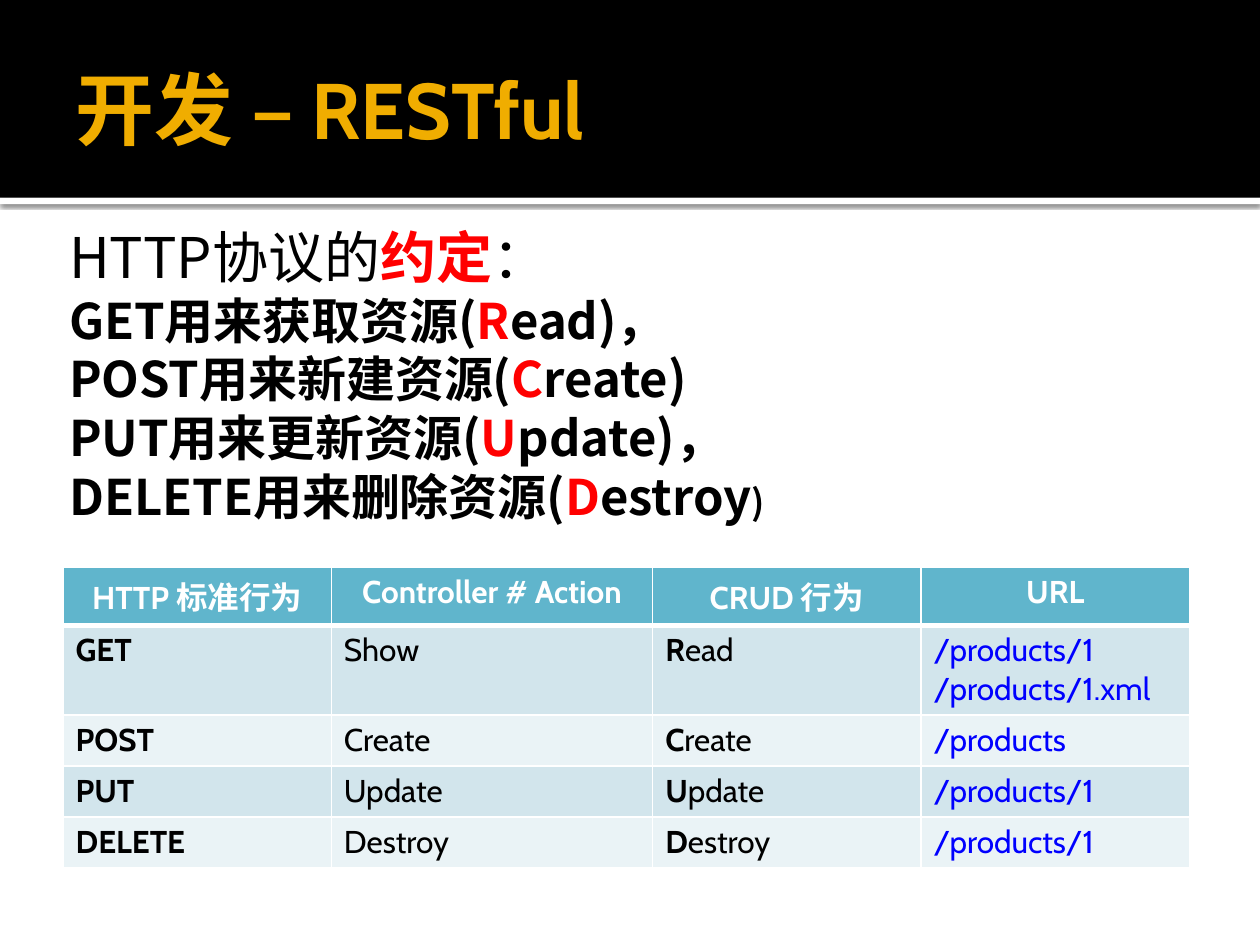
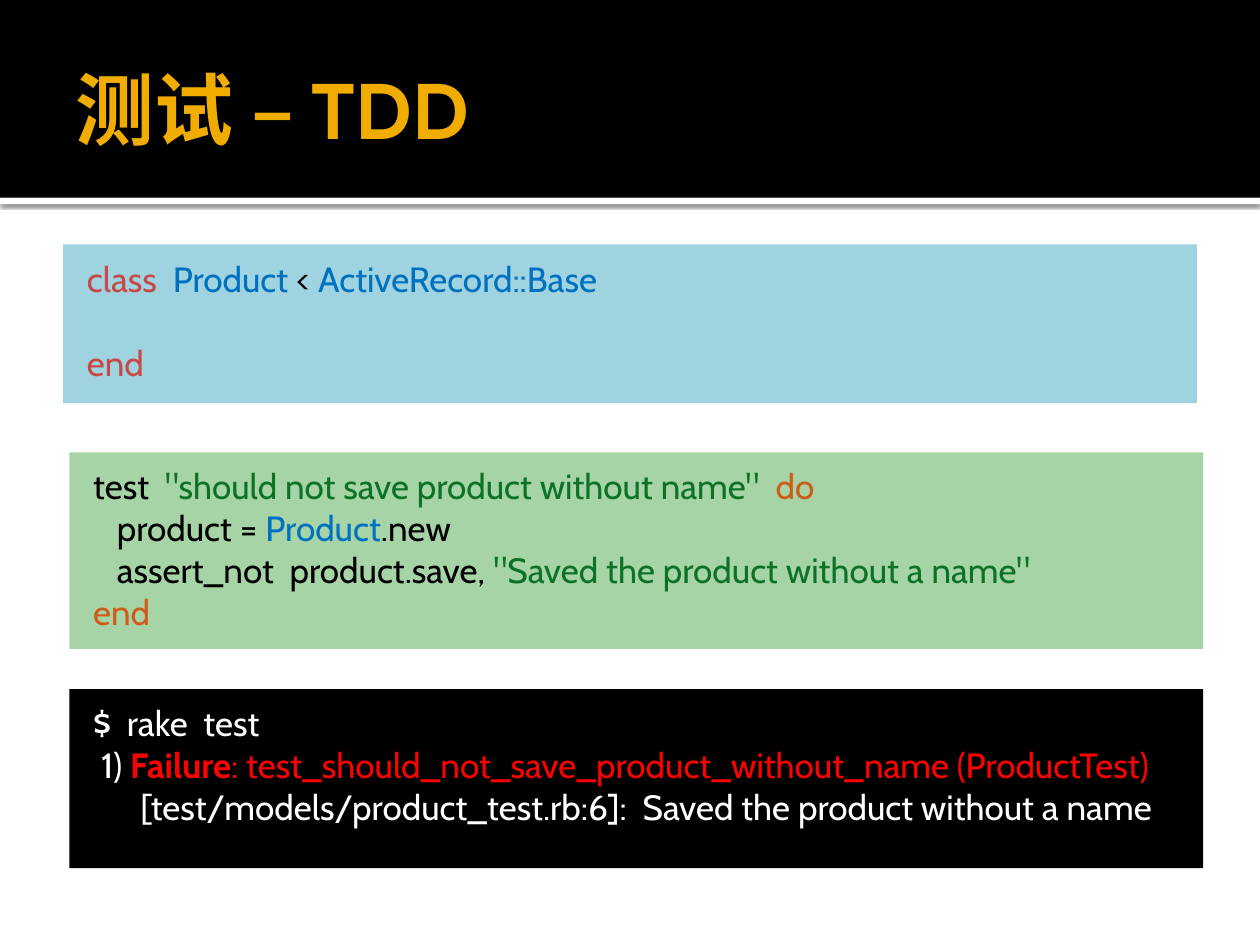
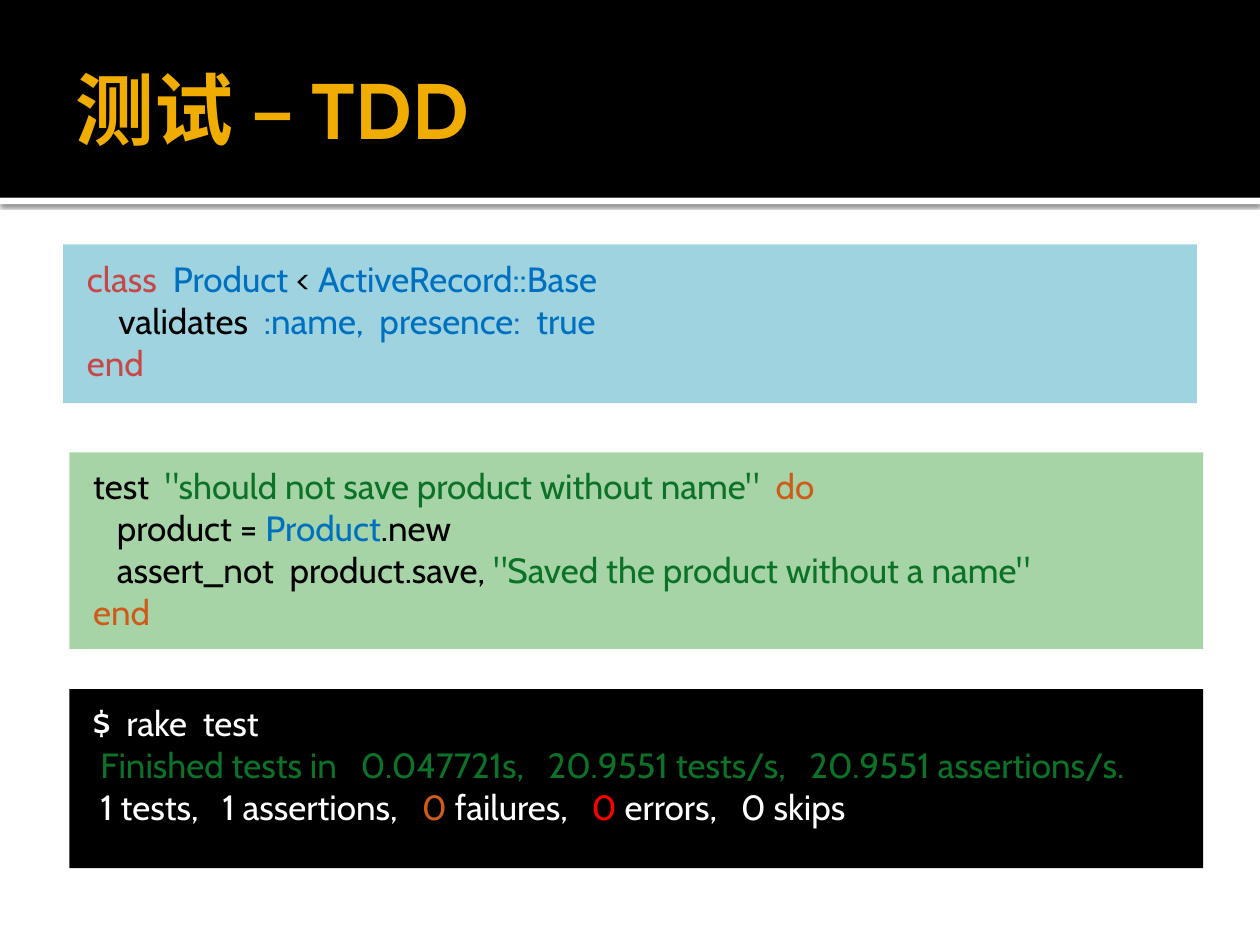
from lxml import etree
from pptx import Presentation
from pptx.dml.color import RGBColor
from pptx.enum.shapes import MSO_SHAPE
from pptx.enum.text import MSO_ANCHOR, MSO_AUTO_SIZE, PP_ALIGN
from pptx.oxml.ns import qn
from pptx.util import Inches, Pt

RECTANGLE = MSO_SHAPE.RECTANGLE
TOP, MIDDLE = MSO_ANCHOR.TOP, MSO_ANCHOR.MIDDLE
NO_FIT = MSO_AUTO_SIZE.NONE
LEFT, CENTER = PP_ALIGN.LEFT, PP_ALIGN.CENTER

LATIN_FONT, CHINESE_FONT = "Cabin", "Noto Sans CJK SC"
TITLE_AND_CONTENT, TITLE_ONLY = 1, 5

BLACK, WHITE, GOLD, RED = "000000", "FFFFFF", "F0AD00", "FF0000"
TEAL, ROW_DARK, ROW_LIGHT, LINK_BLUE = "60B5CC", "D2E5EC", "EAF3F6", "0000FF"
MODEL_FILL, TEST_FILL = "A0D3E0", "A6D4A7"
KEYWORD, CONSTANT, STRING, BLOCK = "C64847", "0070C0", "0C7227", "CF5B1B"


def rgb(value):
    return RGBColor.from_string(value)


def add_xml(parent, tag, **attributes):
    return etree.SubElement(parent, qn(tag), {key: str(value) for key, value in attributes.items()})


class Deck:
    def __init__(self):
        self.presentation = Presentation()
        self.presentation.slide_width = Inches(10)
        self.presentation.slide_height = Inches(7.5)
        self.slide = None

    def start_slide(self, title, layout):
        first = self.slide is None
        self.slide = self.presentation.slides.add_slide(self.presentation.slide_layouts[layout])
        if first:
            self.add_master_bands()
        self.add_title(title)

    def add_master_bands(self):
        """Draw the header bands and hand them to the slide master."""
        header = self.add_rectangle((0, 0, 10, 1.57), BLACK)
        rule = self.add_rectangle((0, 1.57, 10, 0.05), WHITE)
        effects = rule._element.spPr.find(qn("a:effectLst"))
        shadow = add_xml(effects, "a:outerShdw", blurRad=Pt(2.5), dist=Pt(0.8),
                         dir=5400000, algn="t", rotWithShape=0)
        add_xml(add_xml(shadow, "a:srgbClr", val=BLACK), "a:alpha", val=60000)
        master_tree = self.presentation.slide_master.shapes.element
        for band in (header, rule):
            master_tree.insert(2, band._element)

    def place(self, shape, box):
        shape.left, shape.top, shape.width, shape.height = map(Inches, box)

    def add_rectangle(self, box, fill):
        shape = self.slide.shapes.add_shape(RECTANGLE, *map(Inches, box))
        shape.shadow.inherit = False
        shape.fill.solid()
        shape.fill.fore_color.rgb = rgb(fill)
        shape.line.fill.background()
        return shape

    def set_frame(self, frame, margins, anchor=TOP):
        frame.word_wrap = True
        frame.auto_size = NO_FIT
        frame.vertical_anchor = anchor
        (frame.margin_left, frame.margin_top,
         frame.margin_right, frame.margin_bottom) = map(Inches, margins)

    def set_runs(self, paragraph, runs, size, color=BLACK, bold=False,
                 font=LATIN_FONT, align=LEFT):
        """Each run is a string, or (text, changes to the paragraph's style)."""
        paragraph.alignment = align
        paragraph.space_before = Pt(0)
        base = paragraph.font
        base.name, base.size, base.bold = font, Pt(size), bold
        base.color.rgb = rgb(color)
        add_xml(base._rPr, "a:ea", typeface=CHINESE_FONT)
        for item in [runs] if isinstance(runs, str) else runs:
            text, changes = (item, {}) if isinstance(item, str) else item
            run = paragraph.add_run()
            run.text = text
            if "color" in changes:
                run.font.color.rgb = rgb(changes["color"])
            if "bold" in changes:
                run.font.bold = changes["bold"]
            if "size" in changes:
                run.font.size = Pt(changes["size"])

    def paragraphs(self, frame, count):
        for _ in range(count - 1):
            frame.add_paragraph()
        return frame.paragraphs

    def add_title(self, text):
        title = self.slide.shapes.title
        self.place(title, (0.5, 0.17, 9, 1.37))
        self.set_frame(title.text_frame, (0.1, 0.05, 0.05, 0.05), MIDDLE)
        self.set_runs(title.text_frame.paragraphs[0], text, 45, GOLD, True)

    def add_text(self, box, lines):
        frame = self.slide.shapes.add_textbox(*map(Inches, box)).text_frame
        self.set_frame(frame, (0.1, 0.05, 0.1, 0.05))
        for paragraph, (runs, size, bold) in zip(self.paragraphs(frame, len(lines)), lines):
            self.set_runs(paragraph, runs, size, bold=bold, font=CHINESE_FONT)

    def set_code(self, shape, lines, color=BLACK, hanging=True):
        self.set_frame(shape.text_frame, (0.06, 0.1, 0.1, 0.05))
        for paragraph, runs in zip(self.paragraphs(shape.text_frame, len(lines)), lines):
            properties = paragraph._p.get_or_add_pPr()
            properties.set("marL", str(Inches(0.48 if hanging else 0)))
            properties.set("indent", str(Inches(-0.35 if hanging else 0)))
            add_xml(properties, "a:buNone")
            self.set_runs(paragraph, runs, 20, color)

    def add_model_code(self, lines):
        body = self.slide.placeholders[1]
        self.place(body, (0.5, 1.94, 9, 1.26))
        body.fill.solid()
        body.fill.fore_color.rgb = rgb(MODEL_FILL)
        self.set_code(body, lines)
        return body.text_frame.paragraphs

    def add_code(self, box, fill, lines, color=BLACK, hanging=True):
        self.set_code(self.add_rectangle(box, fill), lines, color, hanging)

    def set_cell(self, cell, fill, bottom_width):
        cell.fill.solid()
        cell.fill.fore_color.rgb = rgb(fill)
        properties = cell._tc.get_or_add_tcPr()
        for index, side in enumerate("LRTB"):
            width = bottom_width if side == "B" else 1
            line = add_xml(properties, f"a:ln{side}", w=Pt(width))
            add_xml(add_xml(line, "a:solidFill"), "a:srgbClr", val=WHITE)
            properties.insert(index, line)

    def add_table(self, position, widths, heights, header, rows):
        table = self.slide.shapes.add_table(
            len(heights), len(widths), *map(Inches, position),
            Inches(sum(widths)), Inches(sum(heights))).table
        for column, width in zip(table.columns, widths):
            column.width = Inches(width)
        for row, height in zip(table.rows, heights):
            row.height = Inches(height)
        for column, text in enumerate(header):
            cell = table.cell(0, column)
            self.set_cell(cell, TEAL, 3)
            self.set_runs(cell.text_frame.paragraphs[0], text, 18, WHITE, True, align=CENTER)
        for index, (verb, action, crud, urls) in enumerate(rows, 1):
            contents = [([verb], BLACK, True), ([action], BLACK, False),
                        ([[(crud[0], {"bold": True}), crud[1:]]], BLACK, False),
                        (urls, LINK_BLUE, False)]
            for column, (lines, color, bold) in enumerate(contents):
                cell = table.cell(index, column)
                self.set_cell(cell, ROW_DARK if index % 2 else ROW_LIGHT, 1)
                for paragraph, runs in zip(self.paragraphs(cell.text_frame, len(lines)), lines):
                    self.set_runs(paragraph, runs, 18, color, bold)


def colored(text, color, **changes):
    return text, {"color": color, **changes}


CLASS_LINE = [colored("class  ", KEYWORD), colored("Product", CONSTANT), " < ",
              colored("ActiveRecord::Base", CONSTANT)]
CLASS_END = [colored("end", KEYWORD)]
TEST_CODE = [
    ["test  ", colored('"should not save product without name"  ', STRING), colored("do", BLOCK)],
    ["   product = ", colored("Product", CONSTANT), ".new"],
    ["   assert_not  product.save, ", colored('"Saved the product without a name"', STRING)],
    [colored("end", BLOCK)],
]
CONSOLE_BOX, TEST_BOX = (0.55, 5.47, 9, 1.42), (0.55, 3.59, 9, 1.56)


def build_restful(deck):
    deck.start_slide("开发 – RESTful", TITLE_ONLY)
    deck.add_table(
        (0.5, 4.5), [2.13, 2.55, 2.13, 2.13], [0.39, 0.67, 0.39, 0.39, 0.39],
        ["HTTP 标准行为", "Controller # Action", "CRUD 行为", "URL"],
        [("GET", "Show", "Read", ["/products/1", "/products/1.xml"]),
         ("POST", "Create", "Create", ["/products"]),
         ("PUT", "Update", "Update", ["/products/1"]),
         ("DELETE", "Destroy", "Destroy", ["/products/1"])])
    # Convention: the CRUD initial is red
    lines = [(["HTTP协议的", colored("约定", RED, bold=True), "："], 32, False)]
    for usage, initial, rest in [("GET用来获取资源(", "R", ["ead)，"]),
                                 ("POST用来新建资源(", "C", ["reate)"]),
                                 ("PUT用来更新资源(", "U", ["pdate)，"]),
                                 ("DELETE用来删除资源(", "D", ["estroy", (")", {"size": 20})])]:
        lines.append(([usage, colored(initial, RED), *rest], 28, True))
    deck.add_text((0.45, 1.72, 8.92, 2.52), lines)


def build_failing_test(deck):
    deck.start_slide("测试 – TDD", TITLE_AND_CONTENT)
    code = deck.add_model_code([CLASS_LINE, CLASS_END])
    code[-1].space_before = Pt(24)
    deck.add_code(CONSOLE_BOX, BLACK, [
        "$  rake  test",
        [" 1) ", colored("Failure", RED, bold=True),
         colored(": test_should_not_save_product_without_name (ProductTest)", RED)],
        "      [test/models/product_test.rb:6]:  Saved the product without a name",
    ], WHITE)
    deck.add_code(TEST_BOX, TEST_FILL, TEST_CODE)


def build_passing_test(deck):
    deck.start_slide("测试 – TDD", TITLE_AND_CONTENT)
    validation = ["    validates  ", colored(":name,  presence:  true", CONSTANT)]
    deck.add_model_code([CLASS_LINE, validation, CLASS_END])
    deck.add_code(CONSOLE_BOX, BLACK, [
        "  $  rake  test",
        [colored("   Finished tests in   0.047721s,   20.9551 tests/s,   "
                 "20.9551 assertions/s.", STRING)],
        ["   1 tests,   1 assertions,   ", colored("0 ", BLOCK), "failures,   ",
         colored("0 ", RED), "errors,   0 skips"],
    ], WHITE, hanging=False)
    deck.add_code(TEST_BOX, TEST_FILL, TEST_CODE)


def main():
    deck = Deck()
    build_restful(deck)
    build_failing_test(deck)
    build_passing_test(deck)
    deck.presentation.save("out.pptx")


if __name__ == "__main__":
    main()
